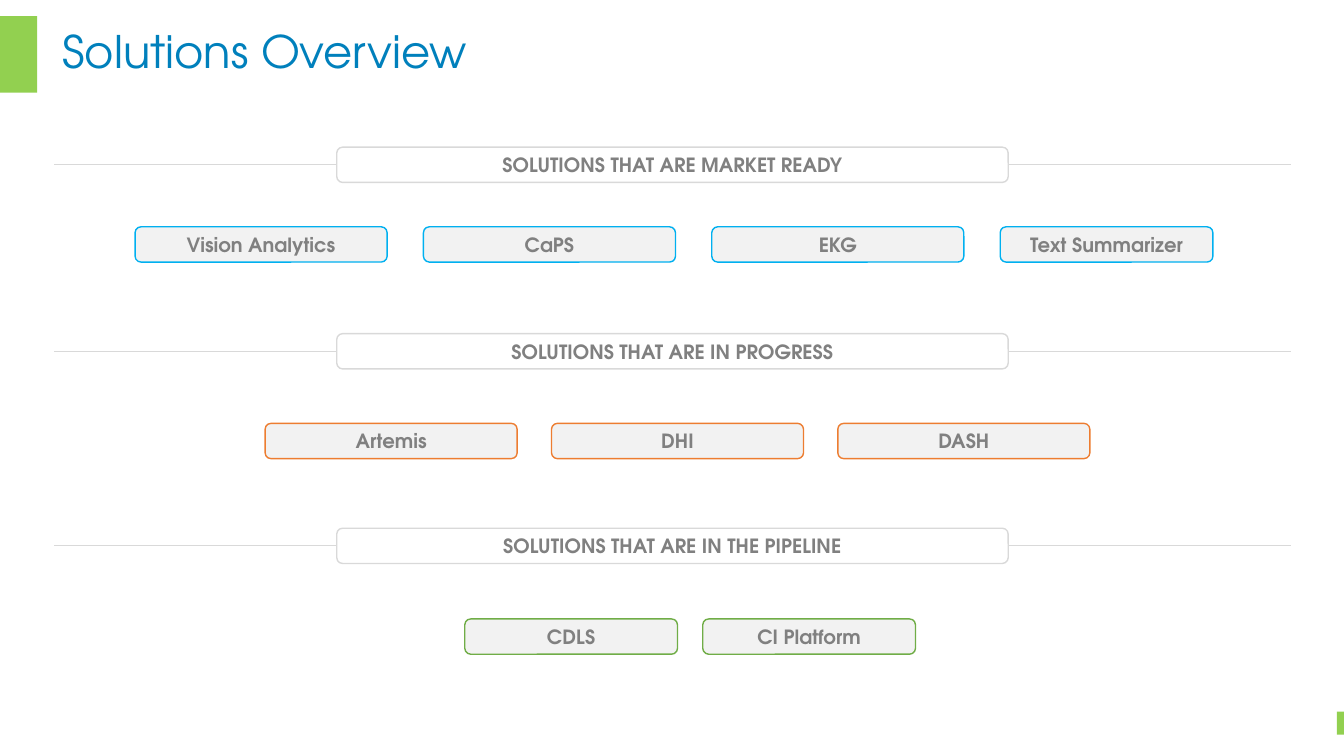
"""Build the Solutions Overview slide: three stages, each with its solutions."""
from dataclasses import dataclass

from lxml import etree
from pptx import Presentation
from pptx.dml.color import RGBColor
from pptx.enum.shapes import MSO_CONNECTOR, MSO_SHAPE
from pptx.enum.text import MSO_ANCHOR, MSO_AUTO_SIZE, PP_ALIGN
from pptx.oxml.ns import qn
from pptx.util import Inches, Pt

STRAIGHT = MSO_CONNECTOR.STRAIGHT
RECTANGLE, ROUNDED = MSO_SHAPE.RECTANGLE, MSO_SHAPE.ROUNDED_RECTANGLE
MIDDLE, CENTER, LEFT = MSO_ANCHOR.MIDDLE, PP_ALIGN.CENTER, PP_ALIGN.LEFT
LEFT_SIDE, RIGHT_SIDE = 1, 3


@dataclass(frozen=True)
class Theme:
    font: str = "TeX Gyre Adventor"
    title_size: int = 32
    label_size: int = 14
    title: str = "0080BC"
    accent: str = "92D050"
    label: str = "808080"
    rule: str = "D9D9D9"
    banner: str = "FFFFFF"
    solution: str = "F2F2F2"
    ready: str = "00B0F0"
    progress: str = "ED7D31"
    pipeline: str = "70AD47"


THEME = Theme()
BOX_HEIGHT = 0.35
WIDE, NARROW = 2.5, 2.11
BANNER_LEFT, BANNER_WIDTH = 3.34, 6.66
RULE_START, RULE_END = 0.54, 12.8

STAGES = [
    ("SOLUTIONS THAT ARE MARKET READY", 1.46, THEME.ready, 2.25, 1.34, 0.36,
     [("Vision Analytics", WIDE), ("CaPS", WIDE), ("EKG", WIDE), ("Text Summarizer", NARROW)]),
    ("SOLUTIONS THAT ARE IN PROGRESS", 3.31, THEME.progress, 4.2, 2.63, 0.34,
     [("Artemis", WIDE), ("DHI", WIDE), ("DASH", WIDE)]),
    ("SOLUTIONS THAT ARE IN THE PIPELINE", 5.24, THEME.pipeline, 6.14, 4.61, 0.25,
     [("CDLS", NARROW), ("CI Platform", NARROW)]),
]


def style_text(text_frame, text, size, color, alignment, bold):
    text_frame.text = text
    text_frame.word_wrap = True
    text_frame.vertical_anchor = MIDDLE
    paragraph = text_frame.paragraphs[0]
    paragraph.alignment = alignment
    font = paragraph.runs[0].font
    font.name, font.size, font.bold = THEME.font, Pt(size), bold
    font.color.rgb = RGBColor.from_string(color)


def add_box(slide, left, top, width, text, fill, outline):
    shape = slide.shapes.add_shape(
        ROUNDED, Inches(left), Inches(top), Inches(width), Inches(BOX_HEIGHT))
    shape.shadow.inherit = False
    shape.fill.solid()
    shape.fill.fore_color.rgb = RGBColor.from_string(fill)
    shape.line.color.rgb = RGBColor.from_string(outline)
    shape.line.width = Pt(1)
    style_text(shape.text_frame, text, THEME.label_size, THEME.label, CENTER, True)
    return shape


presentation = Presentation()
presentation.slide_width = Inches(13.33)
presentation.slide_height = Inches(7.5)
slide = presentation.slides.add_slide(presentation.slide_layouts[5])

title = slide.shapes.title
title.left, title.top = Inches(0.52), Inches(0.06)
title.width, title.height = Inches(11.22), Inches(0.95)
style_text(title.text_frame, "Solutions Overview", THEME.title_size, THEME.title, LEFT, False)
title.text_frame.auto_size = MSO_AUTO_SIZE.NONE
title.text_frame.paragraphs[0].line_spacing = 0.9

for left, top, width, height in [(0, 0.16, 0.37, 0.76), (13.26, 7.06, 0.07, 0.23)]:
    accent = slide.shapes.add_shape(
        RECTANGLE, Inches(left), Inches(top), Inches(width), Inches(height))
    accent.shadow.inherit = False
    accent.fill.solid()
    accent.fill.fore_color.rgb = RGBColor.from_string(THEME.accent)
    accent.line.fill.background()

for heading, banner_top, color, solutions_top, left, gap, solutions in STAGES:
    banner = add_box(slide, BANNER_LEFT, banner_top, BANNER_WIDTH, heading,
                     THEME.banner, THEME.rule)
    middle = Inches(banner_top + BOX_HEIGHT / 2)
    for outer_end, inner_end, side in [(RULE_START, BANNER_LEFT, LEFT_SIDE),
                                       (RULE_END, BANNER_LEFT + BANNER_WIDTH, RIGHT_SIDE)]:
        rule = slide.shapes.add_connector(
            STRAIGHT, Inches(outer_end), middle, Inches(inner_end), middle)
        rule.end_connect(banner, side)
        rule.line.color.rgb = RGBColor.from_string(THEME.rule)
        rule.line.width = Pt(0.5)
        etree.SubElement(rule._element.spPr, qn("a:effectLst"))
    for name, width in solutions:
        add_box(slide, left, solutions_top, width, name, THEME.solution, color)
        left += width + gap

presentation.save("out.pptx")
